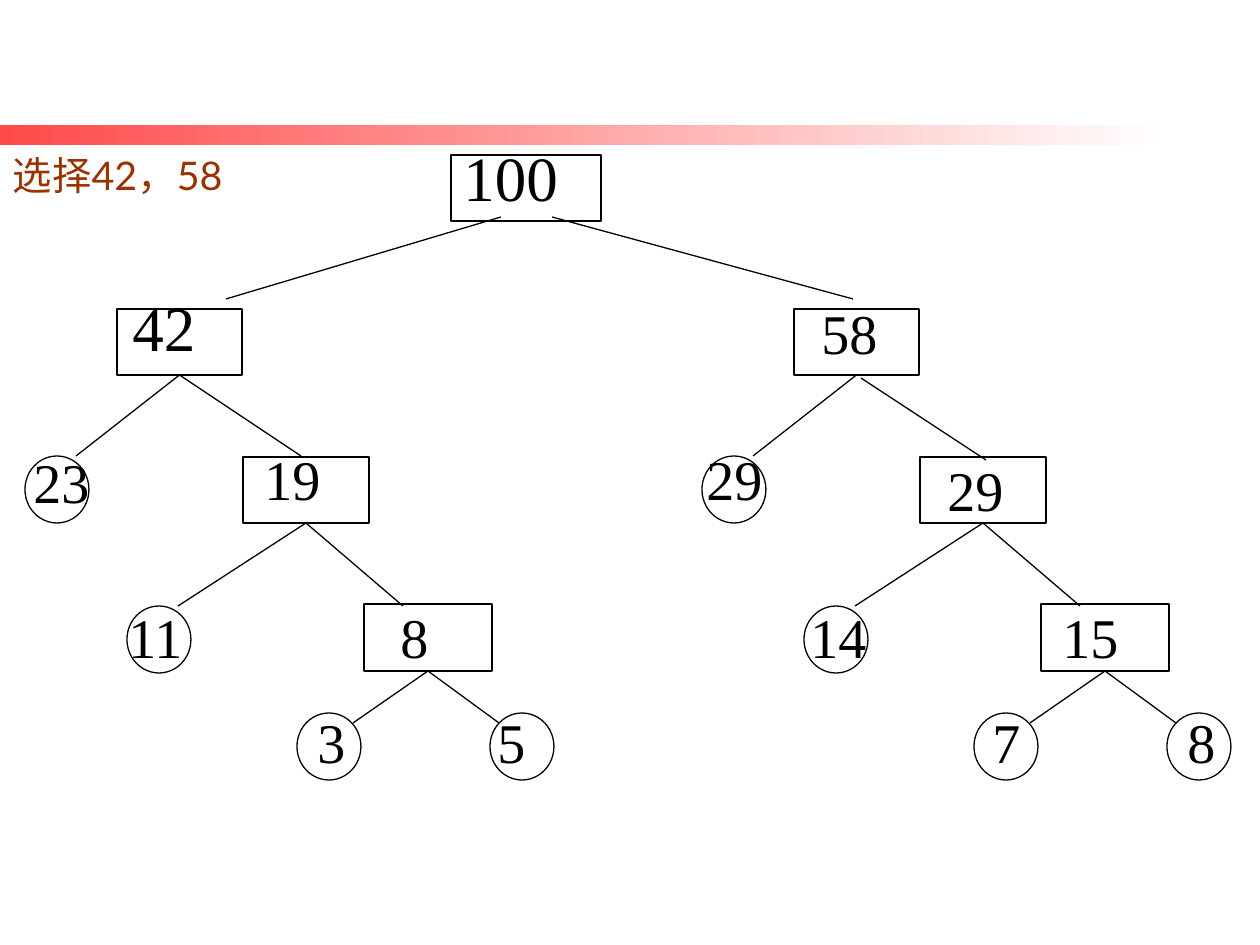
import pptx
import pptx.dml.color
import pptx.enum.shapes
import pptx.enum.text
import pptx.oxml
import pptx.oxml.ns
import pptx.util

SCALE = 914400 / 126
SHAPES = pptx.enum.shapes.MSO_SHAPE
SUBTREE_OFFSET = 677
LABELS = [
    ("100", 451, 147, 200, 36),
    ("42", 120, 297, 126, 36),
    ("23", 21, 454, 125, 32),
    ("19", 252, 451, 150, 32),
    ("11", 116, 609, 125, 32),
    ("8", 388, 609, 150, 32),
    ("3", 305, 714, 80, 32),
    ("5", 485, 714, 80, 32),
    ("58", 809, 305, 126, 32),
    ("29", 694, 451, 125, 32),
    ("29", 935, 462, 150, 32),
    ("14", 798, 609, 125, 32),
    ("15", 1050, 609, 150, 32),
    ("7", 980, 714, 80, 32),
    ("8", 1175, 714, 80, 32),
]


def px(*lengths):
    return [pptx.util.Emu(round(length * SCALE)) for length in lengths]


def color(hex_string):
    return pptx.dml.color.RGBColor.from_string(hex_string)


def style_font(paragraph, name, size, hex_string):
    for run in paragraph.runs:
        run.font.name = name
        run.font.size = pptx.util.Pt(size)
        run.font.color.rgb = color(hex_string)


def add_band(slide):
    band = slide.shapes.add_shape(SHAPES.RECTANGLE, *px(0, 125, 1171, 20))
    band.shadow.inherit = False
    band.line.fill.background()
    band.fill.gradient()
    band.fill.gradient_angle = 0
    for stop, hex_string in zip(band.fill.gradient_stops, ("FF4A4A", "FFFFFF")):
        stop.color.rgb = color(hex_string)


def add_caption(slide, text):
    body = slide.placeholders[1]
    body.left, body.top, body.width, body.height = px(0, 145, 456, 63)
    body.text_frame.text = text
    body.text_frame.vertical_anchor = pptx.enum.text.MSO_ANCHOR.TOP
    paragraph = body.text_frame.paragraphs[0]
    properties = paragraph._p.get_or_add_pPr()
    properties.set("marL", "0")
    properties.set("indent", "0")
    properties.append(pptx.oxml.parse_xml(
        f'<a:buNone {pptx.oxml.ns.nsdecls("a")}/>'))
    paragraph.space_before = pptx.util.Pt(0)
    style_font(paragraph, "Lato", 22.5, "993300")


def add_node(slide, kind, left, top, width, height):
    node = slide.shapes.add_shape(kind, *px(left, top, width, height))
    node.shadow.inherit = False
    node.fill.background()
    node.line.color.rgb = color("000000")
    node.line.width = pptx.util.Pt(0.75)
    return node


def add_leaf(slide, left, top):
    add_node(slide, SHAPES.OVAL, left, top, 64, 67)


def add_edge(slide, start, end, parent=None):
    edge = slide.shapes.add_connector(
        pptx.enum.shapes.MSO_CONNECTOR.STRAIGHT, *px(*start, *end))
    if parent is not None:
        edge.begin_connect(parent, 2)
    edge.line.color.rgb = color("000000")
    edge.line.width = pptx.util.Pt(0.75)
    edge._element.spPr.append(pptx.oxml.parse_xml(
        f'<a:effectLst {pptx.oxml.ns.nsdecls("a")}/>'))


def add_label(slide, text, left, top, width, size):
    label = slide.shapes.add_textbox(*px(left, top, width, 82))
    label.text_frame.word_wrap = True
    label.text_frame.text = text
    paragraph = label.text_frame.paragraphs[0]
    paragraph.alignment = pptx.enum.text.PP_ALIGN.JUSTIFY
    paragraph.line_spacing = 0.8
    style_font(paragraph, "Times New Roman", size, "000000")


def add_subtree(slide, offset):
    for left, top in ((25, 456), (127, 606), (297, 713), (490, 713)):
        add_leaf(slide, left + offset, top)
    boxes = [
        ((117, 309, 125, 66), ((76, 456), (301, 456))),
        ((243, 457, 126, 66), ((178, 606), (403, 606))),
        ((364, 604, 128, 67), ((353, 723), (499, 723))),
    ]
    for (left, top, width, height), ends in boxes:
        parent = add_node(slide, SHAPES.RECTANGLE, left + offset, top, width, height)
        start = (left + offset + width / 2, top + height)
        for x, y in ends:
            if offset and (x, y) == (301, 456):
                add_edge(slide, (861, 378), (986, 460))
            else:
                add_edge(slide, start, (x + offset, y), parent)


def main():
    presentation = pptx.Presentation()
    presentation.slide_width, presentation.slide_height = px(1260, 945)
    slide = presentation.slides.add_slide(presentation.slide_layouts[1])
    title = slide.shapes.title._element
    title.getparent().remove(title)
    add_band(slide)
    add_caption(slide, "选择42，58")
    for label in LABELS:
        add_label(slide, *label)
    for offset in (0, SUBTREE_OFFSET):
        add_subtree(slide, offset)
    add_edge(slide, (501, 217), (226, 299))
    add_edge(slide, (552, 217), (853, 299))
    add_node(slide, SHAPES.RECTANGLE, 451, 155, 150, 66)
    presentation.save("out.pptx")


if __name__ == "__main__":
    main()
